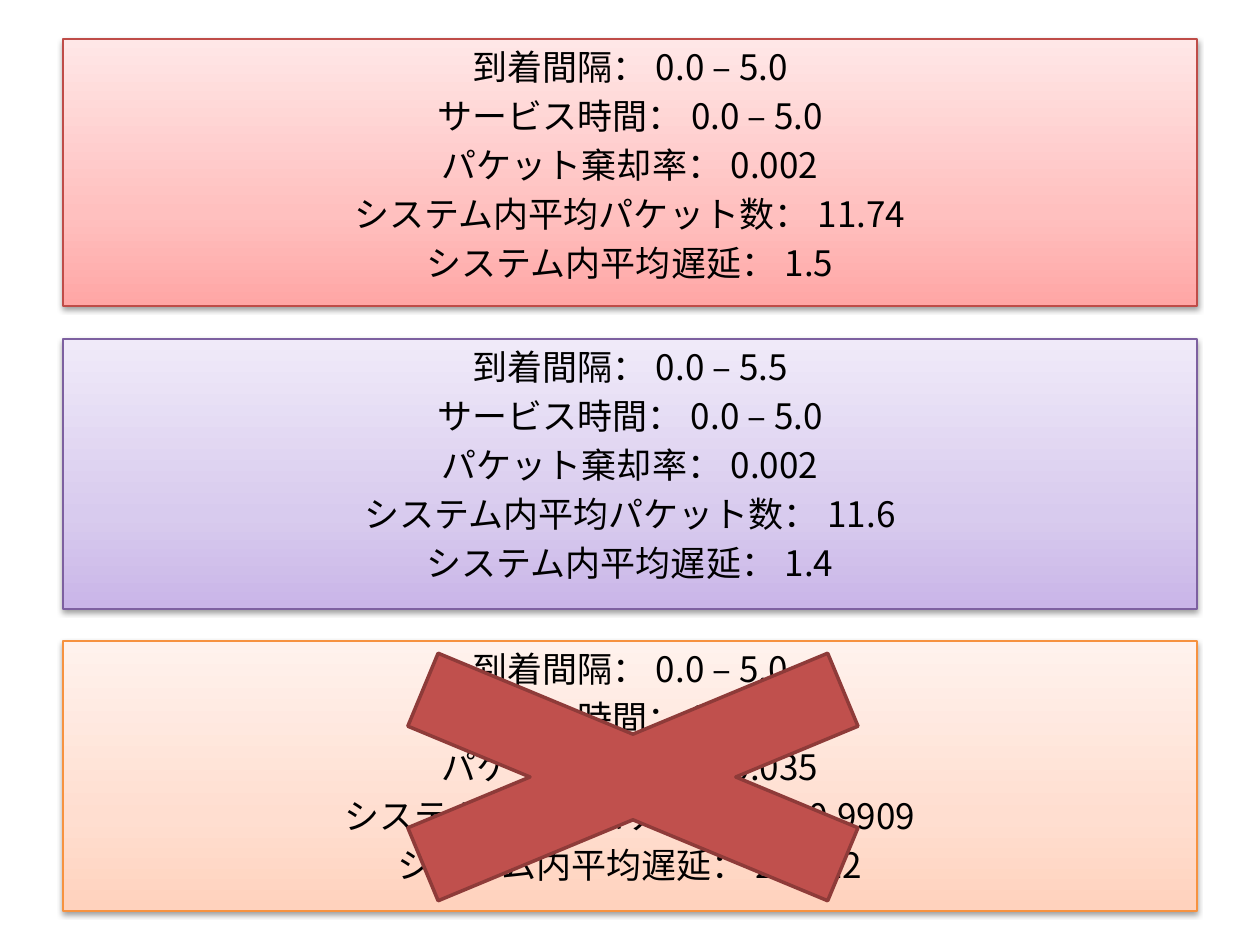
from lxml.etree import SubElement
from pptx import Presentation
from pptx.dml.color import RGBColor
from pptx.enum.shapes import MSO_SHAPE
from pptx.enum.text import MSO_ANCHOR, MSO_AUTO_SIZE, PP_ALIGN
from pptx.oxml.ns import qn
from pptx.util import Emu, Pt

EMU_PER_PX = 914400 / 126
FONT = "Noto Sans CJK JP"
BLACK = RGBColor(0x00, 0x00, 0x00)
CROSS_FILL = RGBColor(0xC0, 0x50, 0x4D)
CROSS_LINE = RGBColor(0x8E, 0x3B, 0x39)
# Line colour, then gradient colours from bottom to top
RED = (RGBColor(0xBF, 0x4C, 0x48), RGBColor(0xFF, 0xA6, 0xA5),
       RGBColor(0xFF, 0xC0, 0xBF), RGBColor(0xFF, 0xE7, 0xE7))
PURPLE = (RGBColor(0x7D, 0x60, 0xA0), RGBColor(0xC9, 0xB5, 0xE8),
          RGBColor(0xD8, 0xCB, 0xEE), RGBColor(0xF0, 0xEA, 0xF9))
ORANGE = (RGBColor(0xF6, 0x92, 0x40), RGBColor(0xFF, 0xD2, 0xBD),
          RGBColor(0xFF, 0xDE, 0xD0), RGBColor(0xFF, 0xF2, 0xED))
STOPS = (0, 35, 100)
LABELS = ("到着間隔", "サービス時間", "パケット棄却率",
          "システム内平均パケット数", "システム内平均遅延")


def px(*lengths):
    return [Emu(round(length * EMU_PER_PX)) for length in lengths]


def place(shape, box):
    shape.left, shape.top, shape.width, shape.height = px(*box)


def add_node(parent, tag, **attributes):
    return SubElement(parent, qn(tag), {k: str(v) for k, v in attributes.items()})


def add_color(parent, color):
    return add_node(parent, "a:srgbClr", val=color)


def style_panel(panel, colors):
    line_color, *gradient_colors = colors
    # Three-stop gradient
    panel.fill.gradient()
    panel.fill.gradient_angle = 90
    stop_list = panel._element.spPr.find(qn("a:gradFill")).find(qn("a:gsLst"))
    for stop in list(stop_list):
        stop_list.remove(stop)
    for position, color in zip(STOPS, gradient_colors):
        add_color(add_node(stop_list, "a:gs", pos=position * 1000), color)
    panel.line.color.rgb = line_color
    panel.line.width = Pt(0.75)
    # Soft shadow below
    panel.shadow.inherit = False
    effects = panel._element.spPr.find(qn("a:effectLst"))
    shadow = add_node(effects, "a:outerShdw", blurRad=Pt(3.1), dist=Pt(1.6),
                      dir=5400000, rotWithShape=0)
    add_node(add_color(shadow, BLACK), "a:alpha", val=38000)


def write_results(panel, values):
    frame = panel.text_frame
    frame.word_wrap = True
    frame.vertical_anchor = MSO_ANCHOR.TOP
    frame.auto_size = MSO_AUTO_SIZE.TEXT_TO_FIT_SHAPE
    for index, (label, value) in enumerate(zip(LABELS, values)):
        result = frame.add_paragraph() if index else frame.paragraphs[0]
        result.alignment = PP_ALIGN.CENTER
        properties = result._p.get_or_add_pPr()
        properties.set("marL", "0")
        properties.set("indent", "0")
        add_node(add_node(properties, "a:spcBef"), "a:spcPct", val=20000)
        add_node(properties, "a:buNone")
        run = result.add_run()
        run.text = f"{label}：{value}"
        run.font.size = Pt(20)
        run.font.name = FONT
        run.font.color.rgb = BLACK
        add_node(run._r.get_or_add_rPr(), "a:ea", typeface=FONT)


def build_panel(panel, box, colors, values):
    place(panel, box)
    style_panel(panel, colors)
    write_results(panel, values)


def build_cross(slide, box):
    cross = slide.shapes.add_shape(MSO_SHAPE.MATH_MULTIPLY, *px(*box))
    cross.shadow.inherit = False
    cross.fill.solid()
    cross.fill.fore_color.rgb = CROSS_FILL
    cross.line.color.rgb = CROSS_LINE
    cross.line.width = Pt(2)


prs = Presentation()
prs.slide_width, prs.slide_height = px(1260, 945)
slide = prs.slides.add_slide(prs.slide_layouts[1])
title = slide.shapes.title._element
title.getparent().remove(title)

# Simulation results, the first in the body placeholder
build_panel(slide.placeholders[1], (63, 39, 1134, 267), RED,
            ("0.0 – 5.0", "0.0 – 5.0", "0.002", "11.74", "1.5"))
for top, colors, values in (
    (339, PURPLE, ("0.0 – 5.5", "0.0 – 5.0", "0.002", "11.6", "1.4")),
    (641, ORANGE, ("0.0 – 5.0", "0.0 – 5.5", "0.035", "0.9909", "22.112")),
):
    box = (63, top, 1134, 270)
    panel = slide.shapes.add_shape(MSO_SHAPE.RECTANGLE, *px(*box))
    build_panel(panel, box, colors, values)

# Cross over the rejected result
build_cross(slide, (229, 609, 808, 336))

prs.save("out.pptx")
